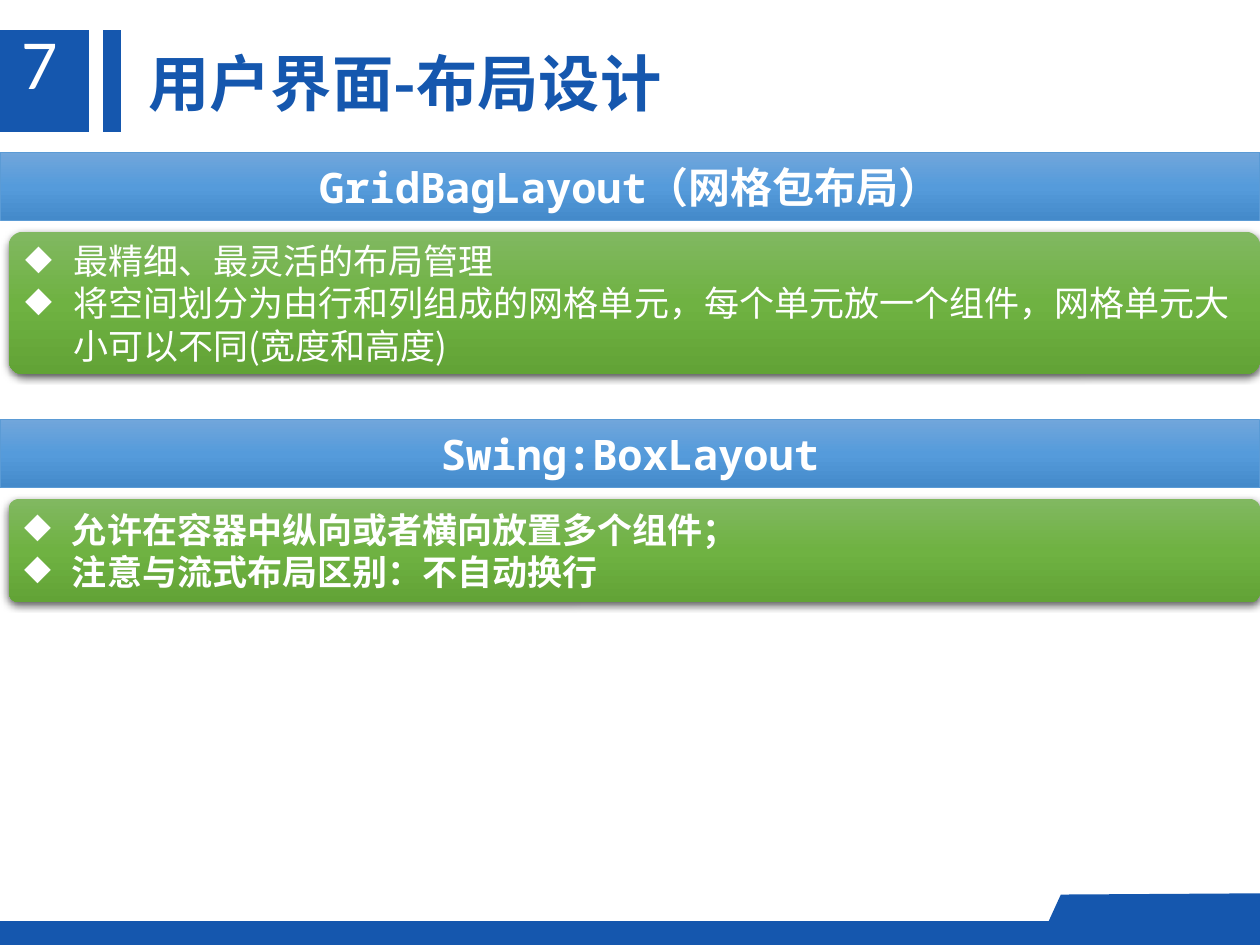
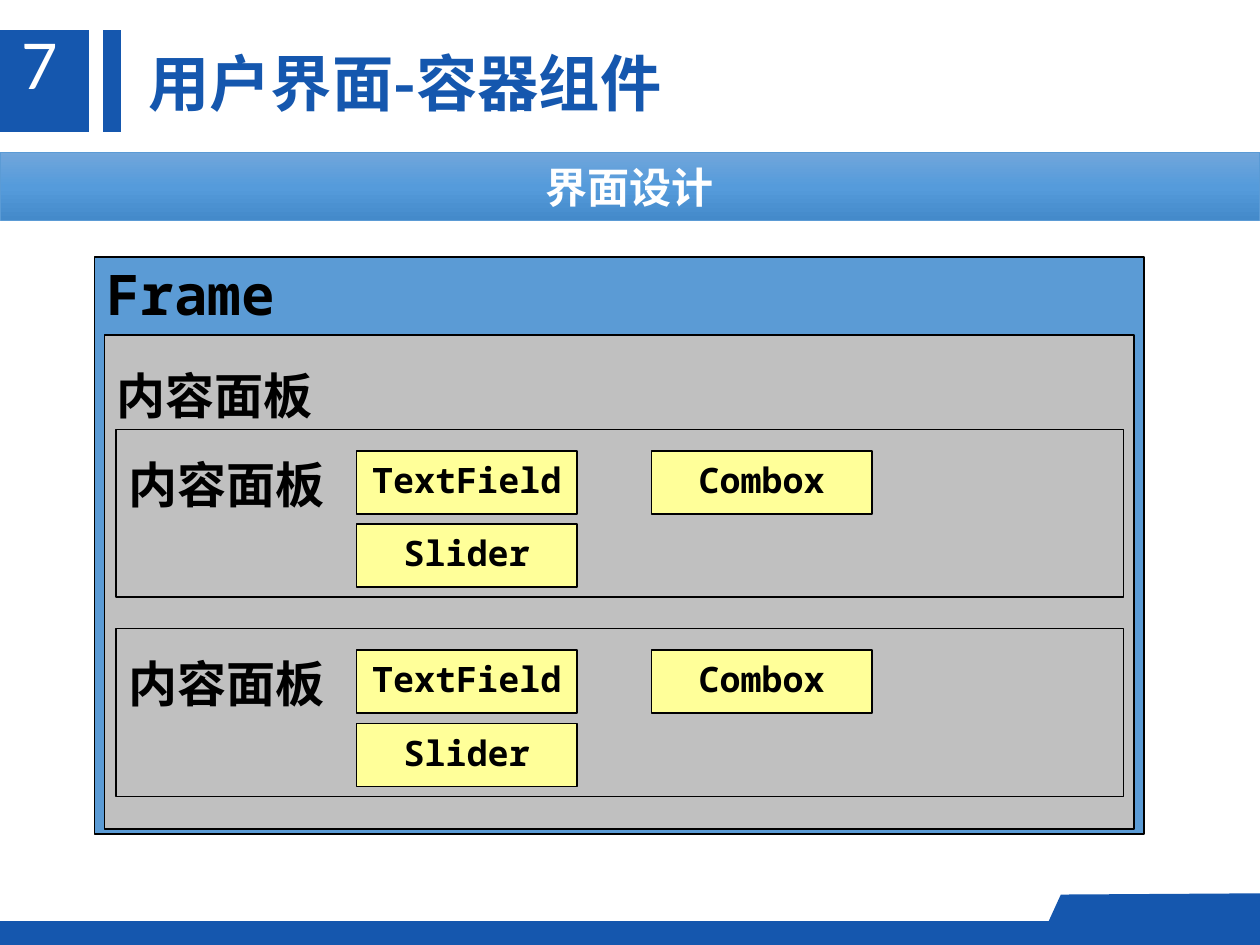
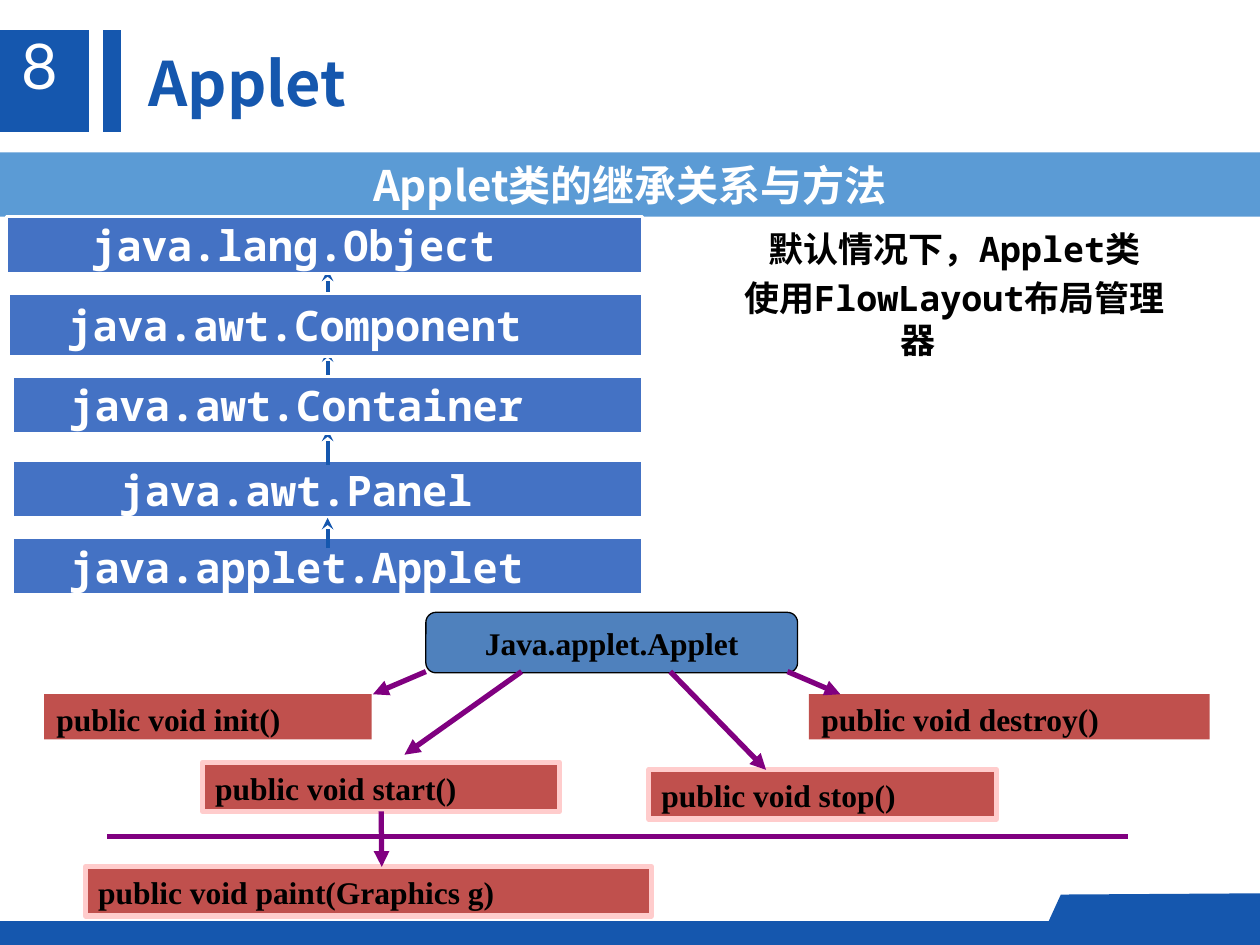
from copy import deepcopy
from dataclasses import dataclass

from lxml.etree import SubElement
from pptx import Presentation
from pptx.dml.color import RGBColor
from pptx.enum.shapes import MSO_CONNECTOR, MSO_SHAPE
from pptx.enum.text import MSO_ANCHOR, PP_ALIGN
from pptx.oxml.ns import qn
from pptx.util import Inches, Pt


@dataclass(frozen=True)
class Theme:
    # Colours
    navy: str = "1557AE"
    white: str = "FFFFFF"
    black: str = "000000"
    sky: str = "5B9BD5"
    sky_fade: tuple = ("71A6DB", "559BDB", "448ACA")
    green_fade: tuple = ("81B861", "6FB242", "62A336")
    grey: str = "C0C0C0"
    yellow: str = "FFFF99"
    class_blue: str = "4472C4"
    root_blue: str = "4F81BD"
    red: str = "C0504D"
    pink: str = "FFCCCC"
    purple: str = "800080"
    # Fonts
    sans: str = "Noto Sans CJK SC"
    mono: str = "Noto Sans Mono"
    serif: str = "Times New Roman"
    digit: str = "Lato"
    # Type sizes
    number: int = 36
    title: int = 35
    frame: int = 32
    panel: int = 28
    band: int = 24
    body: int = 20
    method: int = 18


THEME = Theme()


@dataclass(frozen=True)
class Type:
    size: int
    font: str
    color: str = THEME.black
    bold: bool = True


class Deck:
    def __init__(self, theme):
        self.theme = theme
        self.prs = Presentation()
        self.prs.slide_width, self.prs.slide_height = Inches(10), Inches(7.5)
        self.slide = None

    def new_slide(self, number, title):
        t = self.theme
        self.slide = self.prs.slides.add_slide(self.prs.slide_layouts[6])
        # Number block, side bar and footer strip
        for place in ((0, 0.24, 0.71, 0.81), (0.82, 0.24, 0.14, 0.81), (0, 7.31, 10, 0.19)):
            self.shape(place, t.navy, kind=MSO_SHAPE.FLOWCHART_PROCESS)
        # Raised footer corner
        outline = [(8.26, 7.45), (8.42, 7.1), (10, 7.09), (10, 7.45)]
        points = [(Inches(x), Inches(y)) for x, y in outline]
        builder = self.slide.shapes.build_freeform(*points[0])
        builder.add_line_segments(points[1:], close=True)
        self.paint(builder.convert_to_shape(), t.navy)
        # Section number and title
        self.text_box((0.07, 0.16, 0.53, 0.71), [number],
                      Type(t.number, t.digit, t.white, False), wrap=False)
        self.text_box((1.08, 0.31, 7.64, 0.69), [title], Type(t.title, t.sans, t.navy))

    def paint(self, shape, fill, line=None, weight=0.75):
        shape.shadow.inherit = False
        if isinstance(fill, tuple):
            shape.fill.gradient()
            shape.fill.gradient_angle = 270
            stop_list = shape._element.spPr.find(".//" + qn("a:gsLst"))
            stop_list.append(deepcopy(stop_list[0]))
            for i, (stop, color) in enumerate(zip(shape.fill.gradient_stops, fill)):
                stop.position = i / 2
                stop.color.rgb = RGBColor.from_string(color)
        else:
            shape.fill.solid()
            shape.fill.fore_color.rgb = RGBColor.from_string(fill)
        if line:
            shape.line.color.rgb = RGBColor.from_string(line)
            shape.line.width = Pt(weight)
        else:
            shape.line.fill.background()

    def shape(self, place, fill, line=None, weight=0.75, kind=MSO_SHAPE.RECTANGLE, corner=None):
        shape = self.slide.shapes.add_shape(kind, *map(Inches, place))
        if corner is not None:
            shape.adjustments[0] = corner
        self.paint(shape, fill, line, weight)
        return shape

    def text_box(self, place, lines, style, **options):
        box = self.slide.shapes.add_textbox(*map(Inches, place))
        self.set_text(box, lines, style, **options)

    def set_text(self, shape, lines, style, align=PP_ALIGN.LEFT, anchor=MSO_ANCHOR.TOP,
                 wrap=True, top=0.05, side=0.1, spacing=None, before=0, bullet=None, rtl=False):
        frame = shape.text_frame
        frame.word_wrap = wrap
        frame.vertical_anchor = anchor
        frame.margin_top, frame.margin_bottom = Inches(top), Inches(0.05)
        frame.margin_left = frame.margin_right = Inches(side)
        for i, line in enumerate(lines):
            paragraph = frame.add_paragraph() if i else frame.paragraphs[0]
            props = paragraph._p.get_or_add_pPr()
            if bullet:
                props.set("marL", str(Inches(0.38)))
                props.set("indent", str(-Inches(0.38)))
                SubElement(props, qn("a:buChar")).set("char", bullet)
            if rtl:
                props.set("marL", str(Inches(1.08)))
                props.set("indent", str(-Inches(0.58)))
                props.set("rtl", "1")
            paragraph.alignment = align
            if spacing:
                paragraph.line_spacing = spacing
            if i and before:
                paragraph.space_before = Pt(before)
            run = paragraph.add_run()
            run.text = line
            run.font.size, run.font.bold = Pt(style.size), style.bold
            run.font.name = style.font
            run.font.color.rgb = RGBColor.from_string(style.color)
            SubElement(run._r.rPr, qn("a:ea")).set("typeface", self.theme.sans)

    def band(self, top, text, font, height=0.54, flat=False):
        t = self.theme
        fill, line = (t.sky, None) if flat else (t.sky_fade, t.sky)
        band = self.shape((0, top, 10, height), fill, line, 0.5)
        self.set_text(band, [text], Type(t.band, font, t.white),
                      align=PP_ALIGN.CENTER, anchor=MSO_ANCHOR.MIDDLE)

    def bullet_card(self, top, height, lines, bold):
        t = self.theme
        card = self.shape((0.07, top, 9.93, height), t.green_fade,
                          kind=MSO_SHAPE.ROUNDED_RECTANGLE, corner=0.098)
        effects = card._element.spPr.find(qn("a:effectLst"))
        shadow = SubElement(effects, qn("a:outerShdw"), blurRad=str(Pt(4.5)),
                            dist=str(Pt(1.5)), dir="5400000", rotWithShape="0")
        color = SubElement(shadow, qn("a:srgbClr"), val=t.black)
        SubElement(color, qn("a:alpha"), val="63000")
        self.set_text(card, lines, Type(t.body, t.sans, t.white, bold),
                      anchor=MSO_ANCHOR.MIDDLE, bullet="◆")

    def panel(self, place, text, fill, size, top):
        t = self.theme
        panel = self.shape(place, fill, t.black)
        self.set_text(panel, [text], Type(size, t.mono), wrap=False, top=top, spacing=0.9)

    def widget(self, left, top, text):
        t = self.theme
        widget = self.shape((left, top, 1.75, 0.5), t.yellow, t.black)
        self.set_text(widget, [text], Type(t.body, t.mono), align=PP_ALIGN.CENTER,
                      anchor=MSO_ANCHOR.MIDDLE, wrap=False, spacing=0.9)

    def class_bar(self, left, top, height, text):
        t = self.theme
        bar = self.shape((left, top, 5.1 - left, height), t.class_blue, t.white, 1.5)
        self.set_text(bar, [text], Type(t.band, t.mono, t.white), align=PP_ALIGN.CENTER,
                      anchor=MSO_ANCHOR.MIDDLE, side=0, rtl=True)
        return bar

    def method_box(self, place, text, line=None):
        t = self.theme
        box = self.shape(place, t.red, line, 3)
        self.set_text(box, [text], Type(t.method, t.serif), wrap=False)
        return box

    def connector(self, start, end, color, weight, head=None):
        line = self.slide.shapes.add_connector(
            MSO_CONNECTOR.STRAIGHT, *map(Inches, (*start, *end)))
        line.line.color.rgb = RGBColor.from_string(color)
        line.line.width = Pt(weight)
        props = line._element.spPr
        if head:
            SubElement(props.find(qn("a:ln")), qn("a:tailEnd"), type=head)
        SubElement(props, qn("a:effectLst"))
        return line


def layout_slide(deck):
    deck.new_slide("7", "用户界面-布局设计")
    deck.band(1.21, "GridBagLayout（网格包布局）", THEME.mono)
    deck.bullet_card(1.84, 1.13, [
        "最精细、最灵活的布局管理",
        "将空间划分为由行和列组成的网格单元，每个单元放一个组件，网格单元大小可以不同(宽度和高度)",
    ], bold=False)
    deck.band(3.33, "Swing:BoxLayout", THEME.mono)
    deck.bullet_card(3.96, 0.82, [
        "允许在容器中纵向或者横向放置多个组件；",
        "注意与流式布局区别：不自动换行",
    ], bold=True)


def container_slide(deck):
    deck.new_slide("7", "用户界面-容器组件")
    deck.band(1.21, "界面设计", THEME.sans)
    # Frame and its content panel
    deck.panel((0.75, 2.04, 8.33, 4.58), "Frame", THEME.sky, THEME.frame, 0.08)
    deck.panel((0.83, 2.66, 8.17, 3.92), "内容面板", THEME.grey, THEME.panel, 0.29)
    # Two inner panels with the same widgets
    for top in (3.41, 4.99):
        deck.panel((0.92, top, 8, 1.33), "内容面板", THEME.grey, THEME.panel, 0.25)
        deck.widget(2.83, top + 0.17, "TextField")
        deck.widget(2.83, top + 0.75, "Slider")
        deck.widget(5.17, top + 0.17, "Combox")


def applet_slide(deck):
    deck.new_slide("8", "Applet")
    deck.band(1.21, "Applet类的继承关系与方法", THEME.sans, height=0.51, flat=True)
    deck.text_box((5.82, 1.91, 4.01, 0.84),
                  ["默认情况下，Applet类", "使用FlowLayout布局管理器"],
                  Type(THEME.body, THEME.mono), align=PP_ALIGN.CENTER,
                  anchor=MSO_ANCHOR.MIDDLE, side=0, before=4, rtl=True)

    # Inheritance chain: upper bars cover the arrow ends
    panel_bar = deck.class_bar(0.1, 3.66, 0.45, "java.awt.Panel")
    deck.class_bar(0.1, 4.27, 0.45, "java.applet.Applet")
    for start, end in ((2.39, 2.14), (3.02, 2.78), (3.69, 3.41), (4.35, 4.11)):
        inherits = deck.connector((2.6, start), (2.6, end), THEME.navy, 2.25, "stealth")
    inherits.end_connect(panel_bar, 2)
    deck.class_bar(0.05, 1.72, 0.45, "java.lang.Object")
    deck.class_bar(0.07, 2.33, 0.5, "java.awt.Component")
    deck.class_bar(0.1, 2.99, 0.45, "java.awt.Container")

    # Life-cycle methods
    root = deck.shape((3.38, 4.86, 2.95, 0.48), THEME.root_blue, THEME.black,
                      kind=MSO_SHAPE.ROUNDED_RECTANGLE, corner=0.167)
    deck.set_text(root, ["Java.applet.Applet"], Type(THEME.method, THEME.serif),
                  align=PP_ALIGN.CENTER, anchor=MSO_ANCHOR.MIDDLE, wrap=False)
    deck.method_box((0.35, 5.51, 2.6, 0.36), "public void init()")
    deck.method_box((6.42, 5.51, 3.18, 0.36), "public void destroy()")
    start_box = deck.method_box((1.61, 6.05, 2.83, 0.39), "public void start()", THEME.pink)
    deck.method_box((5.15, 6.11, 2.76, 0.39), "public void stop()", THEME.pink)
    deck.method_box((0.68, 6.88, 4.49, 0.39), "public void paint(Graphics g)", THEME.pink)

    # Divider and call arrows
    deck.connector((0.85, 6.64), (8.95, 6.64), THEME.purple, 3)
    for start_x, end in ((3.38, (2.96, 5.51)), (4.14, (3.21, 5.99)),
                         (6.25, (6.67, 5.51)), (5.32, (6.08, 6.11))):
        deck.connector((start_x, 5.33), end, THEME.purple, 3, "triangle")
    paints = deck.connector((3.03, 6.44), (3.03, 6.88), THEME.purple, 3, "triangle")
    paints.begin_connect(start_box, 2)


def main():
    deck = Deck(THEME)
    layout_slide(deck)
    container_slide(deck)
    applet_slide(deck)
    deck.prs.save("out.pptx")


if __name__ == "__main__":
    main()
